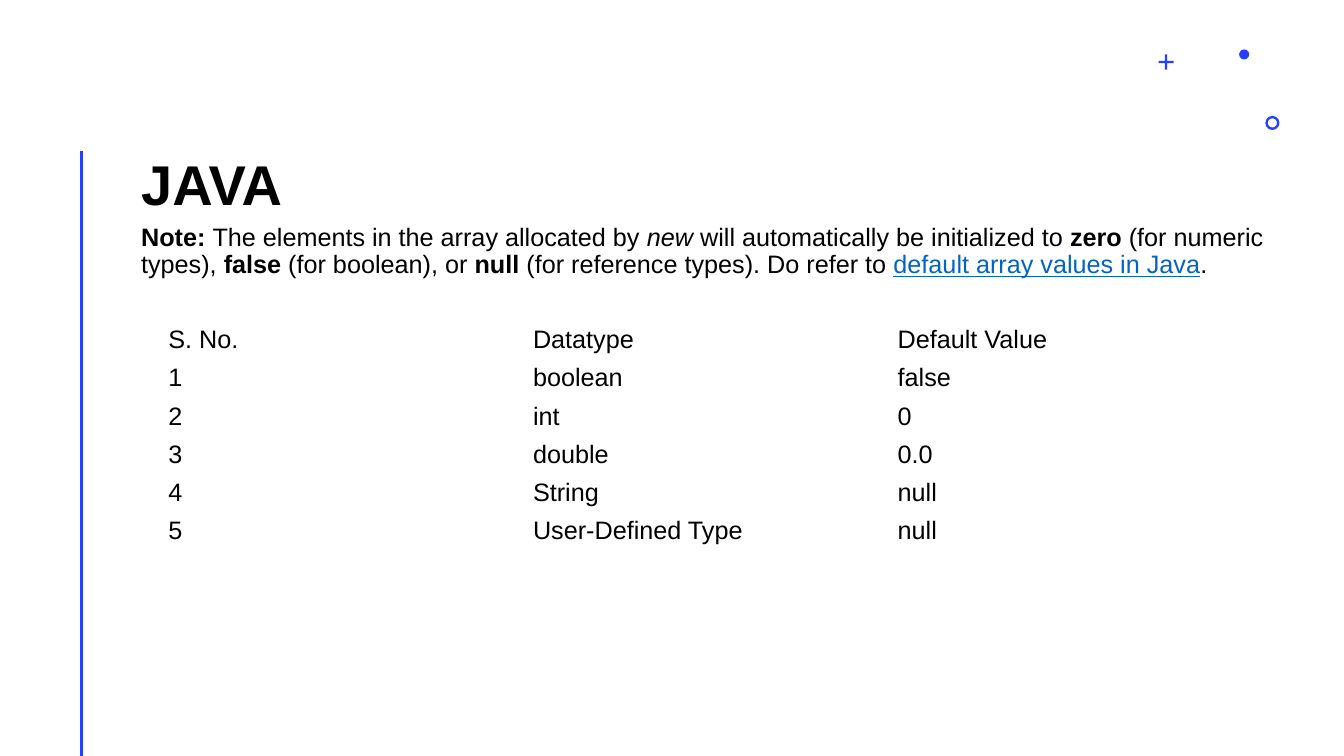
"""Builds a slide listing the default values of Java array elements."""
from dataclasses import dataclass

from lxml import etree
from pptx import Presentation
from pptx.dml.color import RGBColor
from pptx.enum.shapes import MSO_CONNECTOR, MSO_SHAPE
from pptx.enum.text import MSO_ANCHOR, MSO_AUTO_SIZE, PP_ALIGN
from pptx.oxml.ns import qn
from pptx.util import Inches, Pt

STRAIGHT = MSO_CONNECTOR.STRAIGHT
CROSS, DONUT, OVAL = MSO_SHAPE.CROSS, MSO_SHAPE.DONUT, MSO_SHAPE.OVAL
TOP, MIDDLE, BOTTOM = MSO_ANCHOR.TOP, MSO_ANCHOR.MIDDLE, MSO_ANCHOR.BOTTOM
LEFT = PP_ALIGN.LEFT
NO_AUTOFIT = MSO_AUTO_SIZE.NONE


@dataclass(frozen=True)
class Theme:
    """Colours, font and type sizes of the slide."""
    font: str = "Arial"
    title_size: int = 40
    text_size: int = 18
    ink: RGBColor = RGBColor(0x00, 0x00, 0x00)
    accent: RGBColor = RGBColor(0x24, 0x3F, 0xFF)
    link: RGBColor = RGBColor(0x05, 0x63, 0xC1)


class SlideBuilder:
    """Adds styled elements to one slide."""

    def __init__(self, slide, theme):
        self.slide = slide
        self.theme = theme

    def style(self, run, size, bold=False, italic=False, link=False):
        """Formats one run."""
        font = run.font
        font.name = self.theme.font
        font.size = Pt(size)
        font.bold = bold
        font.italic = italic
        font.underline = link
        font.color.rgb = self.theme.link if link else self.theme.ink

    def place(self, placeholder, left, top, width, height, anchor):
        """Moves a placeholder, clears its insets and returns its paragraph."""
        placeholder.left, placeholder.top = Inches(left), Inches(top)
        placeholder.width, placeholder.height = Inches(width), Inches(height)
        frame = placeholder.text_frame
        frame.margin_left = frame.margin_right = 0
        frame.margin_top = frame.margin_bottom = 0
        frame.word_wrap = True
        frame.auto_size = NO_AUTOFIT
        frame.vertical_anchor = anchor
        paragraph = frame.paragraphs[0]
        paragraph.alignment = LEFT
        return paragraph

    def title(self, text, *box):
        """Fills the title placeholder."""
        paragraph = self.place(self.slide.shapes.title, *box, BOTTOM)
        paragraph.text = text
        paragraph.line_spacing = Pt(self.theme.title_size)
        self.style(paragraph.runs[0], self.theme.title_size, bold=True)

    def body(self, parts, *box):
        """Fills the body placeholder with differently styled runs."""
        paragraph = self.place(self.slide.placeholders[1], *box, TOP)
        paragraph.line_spacing = 0.9
        paragraph.space_before = Pt(10)
        properties = paragraph._p.get_or_add_pPr()
        properties.set("marL", "0")
        properties.set("indent", "0")
        etree.SubElement(properties, qn("a:buNone"))
        for text, emphasis in parts:
            run = paragraph.add_run()
            run.text = text
            self.style(run, self.theme.text_size, **emphasis)

    def rule(self, x, top, bottom):
        """Draws a vertical accent line."""
        line = self.slide.shapes.add_connector(
            STRAIGHT, Inches(x), Inches(top), Inches(x), Inches(bottom))
        line.line.color.rgb = self.theme.accent
        line.line.width = Pt(2)
        etree.SubElement(line._element.spPr, qn("a:effectLst"))

    def mark(self, kind, left, top, size, adjustment=None):
        """Draws a small accent mark."""
        mark = self.slide.shapes.add_shape(
            kind, Inches(left), Inches(top), Inches(size), Inches(size))
        mark.shadow.inherit = False
        mark.fill.solid()
        mark.fill.fore_color.rgb = self.theme.accent
        mark.line.fill.background()
        if adjustment is not None:
            mark.adjustments[0] = adjustment

    def table(self, rows, left, top, width, row_height):
        """Adds a plain table without fills."""
        table = self.slide.shapes.add_table(
            len(rows), len(rows[0]), Inches(left), Inches(top),
            Inches(width), Inches(row_height * len(rows))).table
        table.first_row = table.horz_banding = False
        for r, values in enumerate(rows):
            for c, value in enumerate(values):
                cell = table.cell(r, c)
                cell.fill.background()
                cell.vertical_anchor = MIDDLE
                cell.margin_top = cell.margin_bottom = Inches(0.04)
                cell.text_frame.text = value
                self.style(cell.text_frame.paragraphs[0].runs[0],
                           self.theme.text_size)


NOTE = [
    ("Note: ", {"bold": True}),
    ("The elements in the array allocated by ", {}),
    ("new", {"italic": True}),
    (" will automatically be initialized to ", {}),
    ("zero", {"bold": True}),
    (" (for numeric types), ", {}),
    ("false", {"bold": True}),
    (" (for boolean), or ", {}),
    ("null", {"bold": True}),
    (" (for reference types). Do refer to ", {}),
    ("default array values in Java", {"link": True}),
    (".", {}),
]

DEFAULT_VALUES = [
    ("S. No.", "Datatype", "Default Value"),
    ("1", "boolean", "false"),
    ("2", "int", "0"),
    ("3", "double", "0.0"),
    ("4", "String", "null"),
    ("5", "User-Defined Type", "null"),
]


def main():
    """Builds and saves the slide."""
    deck = Presentation()
    deck.slide_width, deck.slide_height = Inches(13.33), Inches(7.5)
    slide = deck.slides.add_slide(deck.slide_layouts[1])
    builder = SlideBuilder(slide, Theme())
    builder.rule(0.81, 1.5, 7.5)
    builder.mark(CROSS, 11.49, 0.54, 0.15, 0.43)
    builder.mark(DONUT, 12.55, 1.15, 0.14, 0.17)
    builder.mark(OVAL, 12.29, 0.49, 0.1)
    builder.title("JAVA", 1.4, 0.75, 9.99, 1.4)
    builder.body(NOTE, 1.4, 2.23, 11.7, 4.74)
    builder.table(DEFAULT_VALUES, 1.57, 3.18, 10.85, 0.38)
    deck.save("out.pptx")


if __name__ == "__main__":
    main()
